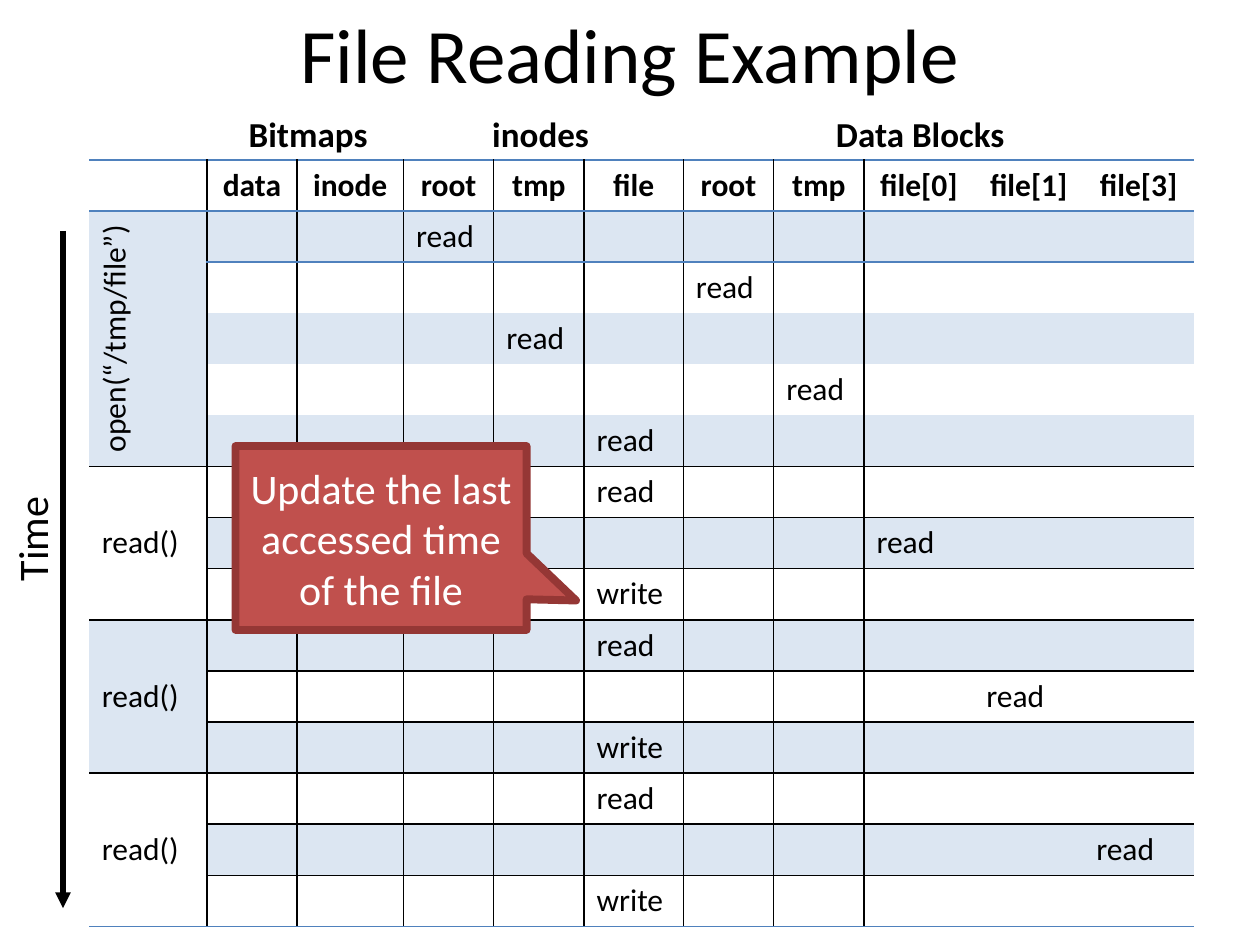
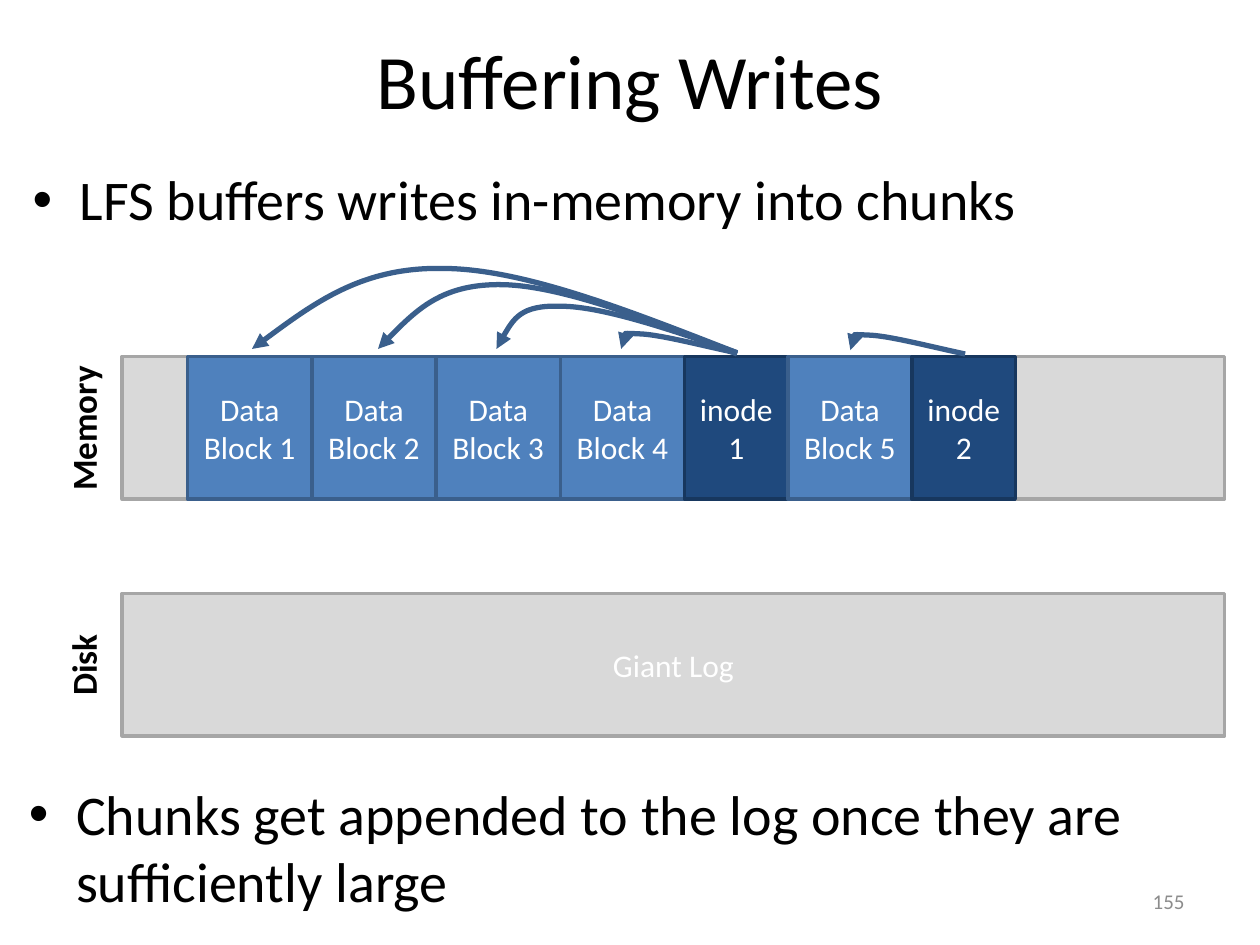
import lxml.etree
import pptx
import pptx.dml.color
import pptx.enum.shapes
import pptx.enum.text
import pptx.oxml
import pptx.oxml.ns
import pptx.util

Pt = pptx.util.Pt
qn = pptx.oxml.ns.qn
ALIGN = pptx.enum.text.PP_ALIGN
ANCHOR = pptx.enum.text.MSO_ANCHOR
SHAPE = pptx.enum.shapes.MSO_SHAPE

BLACK, WHITE = "000000", "FFFFFF"
BLUE, BLUE_EDGE, BAND = "4F81BD", "3A5F8C", "DCE6F2"
NAVY, NAVY_EDGE = "1F497D", "17375E"
GREY, GREY_EDGE = "D9D9D9", "A6A6A6"
RED, RED_EDGE = "C0504D", "953735"
NO_GRID = "{2D5ABB26-0587-4C30-8999-92F81FD0307C}"


def color(hex_text):
    return pptx.dml.color.RGBColor.from_string(hex_text)


class Deck:
    font = "Calibri"

    def __init__(self):
        self.presentation = pptx.Presentation()
        self.presentation.slide_width = Pt(720)
        self.presentation.slide_height = Pt(540)
        self.slide = None

    def add_slide(self, title, height):
        layout = self.presentation.slide_layouts[5]
        self.slide = self.presentation.slides.add_slide(layout)
        heading = self.slide.shapes.title
        heading.left, heading.top = Pt(36), Pt(0)
        heading.width, heading.height = Pt(648), Pt(height)
        self.fill_text(heading.text_frame, title, 44, anchor=ANCHOR.MIDDLE)

    def fill_text(self, frame, text, size, ink=BLACK, bold=False,
                  align=ALIGN.CENTER, anchor=ANCHOR.TOP):
        frame.text = text
        frame.vertical_anchor = anchor
        for paragraph in frame.paragraphs:
            self.style_runs(paragraph, size, ink, bold, align)

    def style_runs(self, paragraph, size, ink, bold, align):
        paragraph.alignment = align
        for run in paragraph.runs:
            run.font.name = self.font
            run.font.size = Pt(size)
            run.font.bold = bold
            run.font.color.rgb = color(ink)

    def label(self, text, left, top, width, height, size, wrap=False,
              rotation=0, **style):
        box = self.slide.shapes.add_textbox(Pt(left), Pt(top), Pt(width), Pt(height))
        box.rotation = rotation
        box.text_frame.word_wrap = wrap
        self.fill_text(box.text_frame, text, size, **style)
        return box

    def bullet(self, text, left, top, width, height):
        box = self.label(text, left, top, width, height, 32, wrap=True, align=ALIGN.LEFT)
        properties = box.text_frame.paragraphs[0]._p.get_or_add_pPr()
        properties.set("marL", str(Pt(27)))
        properties.set("indent", str(-Pt(27)))
        lxml.etree.SubElement(properties, qn("a:buFont"), typeface="Arial")
        lxml.etree.SubElement(properties, qn("a:buChar"), char="•")

    def block(self, text, left, top, width, height, fill, edge, size=18,
              kind=SHAPE.RECTANGLE, edge_width=2):
        shape = self.slide.shapes.add_shape(kind, Pt(left), Pt(top), Pt(width), Pt(height))
        shape.shadow.inherit = False
        shape.fill.solid()
        shape.fill.fore_color.rgb = color(fill)
        shape.line.color.rgb = color(edge)
        shape.line.width = Pt(edge_width)
        if text:
            self.fill_text(shape.text_frame, text, size, WHITE, anchor=ANCHOR.MIDDLE)
        return shape

    def arrow_line(self, shape, ink):
        shape.line.color.rgb = color(ink)
        shape.line.width = Pt(3)
        lxml.etree.SubElement(shape.line._get_or_add_ln(), qn("a:tailEnd"), type="triangle")

    def arrow(self, x1, y1, x2, y2, ink):
        line = self.slide.shapes.add_connector(
            pptx.enum.shapes.MSO_CONNECTOR.STRAIGHT, Pt(x1), Pt(y1), Pt(x2), Pt(y2))
        self.arrow_line(line, ink)
        lxml.etree.SubElement(line._element.spPr, qn("a:effectLst"))

    def curve(self, points, ink):
        start, *controls = [(Pt(x), Pt(y)) for x, y in points]
        builder = self.slide.shapes.build_freeform(*start)
        builder.add_line_segments(controls, close=False)
        shape = builder.convert_to_shape()
        outline = next(shape._element.iter(qn("a:path")))
        segments = outline.findall(qn("a:lnTo"))
        for first in range(0, len(segments), 3):
            bezier = lxml.etree.SubElement(outline, qn("a:cubicBezTo"))
            for segment in segments[first:first + 3]:
                bezier.append(segment[0])
                outline.remove(segment)
        shape.shadow.inherit = False
        shape.fill.background()
        self.arrow_line(shape, ink)

    def table(self, left, top, widths, row_count, row_height):
        table = self.slide.shapes.add_table(
            row_count, len(widths), Pt(left), Pt(top),
            Pt(sum(widths)), Pt(row_height * row_count)).table
        table.first_row = table.horz_banding = False
        table._tbl.tblPr.find(qn("a:tableStyleId")).text = NO_GRID
        for column, width in zip(table.columns, widths):
            column.width = Pt(width)
        for row in table.rows:
            row.height = Pt(row_height)
        return table

    def cell(self, cell, borders, fill=None):
        properties = cell._tc.get_or_add_tcPr()
        for side in "LRTB":
            if borders.get(side):
                line = lxml.etree.SubElement(properties, qn("a:ln" + side), w=str(Pt(1)))
                solid = lxml.etree.SubElement(line, qn("a:solidFill"))
                lxml.etree.SubElement(solid, qn("a:srgbClr"), val=borders[side])
        if fill:
            cell.fill.solid()
            cell.fill.fore_color.rgb = color(fill)
        else:
            cell.fill.background()

    def cell_text(self, cell, text, bold=False, align=ALIGN.LEFT):
        cell.text = text
        self.style_runs(cell.text_frame.paragraphs[0], 18, BLACK, bold, align)


def file_reading(deck):
    deck.add_slide("File Reading Example", 60.5)
    headers = ["", "data", "inode", "root", "tmp", "file", "root", "tmp",
               "file[0]", "file[1]", "file[3]"]
    widths = [67.2, 51.6, 60.8, 51.6, 51.6, 56.8, 51.6, 51.6, 62.8, 62.8, 62.8]
    calls = [("open(“/tmp/file”)", 1, 5), ("read()", 6, 8),
             ("read()", 9, 11), ("read()", 12, 14)]
    accesses = [(3, "read"), (6, "read"), (4, "read"), (7, "read"), (5, "read")]
    for data_column in (8, 9, 10):
        accesses += [(5, "read"), (data_column, "read"), (5, "write")]
    last_row = len(accesses)
    ruled_columns = {0, 1, 2, 3, 5, 6}
    call_ends = {last for _, _, last in calls}
    ruled_rows = call_ends | {first for _, first, _ in calls[1:]}

    def rule_below(row, column):
        if row in (-1, 0, last_row):
            return BLUE
        return BLACK if row in (ruled_rows if column else call_ends) else None

    table = deck.table(51, 91.4, widths, last_row + 1, 29.2)
    call_of_row = {row: call for call in calls for row in range(call[1], call[2] + 1)}
    for row in range(last_row + 1):
        for column in range(len(widths)):
            first, last = row, row
            if column == 0 and row:
                _, first, last = call_of_row[row]
            borders = {"L": BLACK if column - 1 in ruled_columns else None,
                       "R": BLACK if column in ruled_columns else None,
                       "T": rule_below(first - 1, column),
                       "B": rule_below(last, column)}
            deck.cell(table.cell(row, column), borders, BAND if first % 2 else None)
    for column, header in enumerate(headers):
        if header:
            deck.cell_text(table.cell(0, column), header, True, ALIGN.CENTER)
    for row, (column, access) in enumerate(accesses, 1):
        deck.cell_text(table.cell(row, column), access)
    for call, first, last in calls:
        call_cell = table.cell(first, 0)
        call_cell.merge(table.cell(last, 0))
        is_open = call.startswith("open")
        deck.cell_text(call_cell, call, align=ALIGN.CENTER if is_open else ALIGN.LEFT)
        call_cell.vertical_anchor = ANCHOR.MIDDLE
        if is_open:
            call_cell._tc.get_or_add_tcPr().set("vert", "vert270")

    for group, left, width in [("Bitmaps", 134.6, 83), ("inodes", 273.6, 70.6),
                               ("Data Blocks", 470, 111.6)]:
        deck.label(group, left, 60.5, width, 31.5, 20, bold=True)
    callout = deck.block("Update the last accessed time of the file", 134.6, 254.9,
                         166.3, 105.1, RED, RED_EDGE, 24,
                         SHAPE.RECTANGULAR_CALLOUT, 4.5)
    callout.adjustments[0] = 0.67
    callout.adjustments[1] = 0.34
    deck.arrow(36, 132, 36, 519, BLACK)
    deck.label("Time", -13.7, 289.4, 63.4, 36, 24, rotation=270, align=ALIGN.LEFT)


def buffering_writes(deck):
    deck.add_slide("Buffering Writes", 90)
    memory_top, disk_top, height = 203.8, 339.1, 81.4
    for text, top in [("", memory_top), ("Giant Log", disk_top)]:
        deck.block(text, 69.8, top, 630, height, GREY, GREY_EDGE)
    deck.bullet("LFS buffers writes in-memory into chunks", 11.5, 90.7, 683.3, 56.2)
    deck.bullet("Chunks get appended to the log once they are sufficiently large",
                9.4, 442, 701.3, 85)
    deck.label("155", 516, 500.4, 168, 28.8, 12, wrap=True, ink="8C8C8C",
               align=ALIGN.RIGHT, anchor=ANCHOR.MIDDLE)
    for store, top in [("Memory", 229), ("Disk", 364.3)]:
        deck.label(store, -4, top, 103, 31.5, 20, wrap=True, rotation=270, bold=True)

    left = 107.2
    for text in ["Data Block 1", "Data Block 2", "Data Block 3", "Data Block 4",
                 "inode\n1", "Data Block 5", "inode\n2"]:
        if text.startswith("inode"):
            width, fill, edge = 59, NAVY, NAVY_EDGE
        else:
            width, fill, edge = 71, BLUE, BLUE_EDGE
        deck.block(text, left, memory_top, width, height, fill, edge)
        left += width

    to_neighbour = [(420.5, 201.6), (397.4, 196.6), (375.1, 190.8), (364.3, 190.8),
                    (353.5, 190.1), (354.2, 195.1), (355, 199.4)]
    pointers = [
        [(421.2, 201.6), (360, 177.8), (298.8, 153.4), (252.7, 153.4),
         (206.6, 152.6), (175, 176.4), (144, 199.4)],
        [(421.2, 202.3), (371.5, 182.9), (321.1, 163.4), (287.3, 162.7),
         (252.7, 162), (234, 180.7), (216, 199.4)],
        [(421.2, 201.6), (382.3, 187.9), (343.4, 175), (320.4, 175),
         (297.4, 174.2), (290.2, 186.5), (283.7, 199.4)],
        to_neighbour,
        [(x + 131, y + 0.7) for x, y in to_neighbour],
    ]
    for pointer in pointers:
        deck.curve(pointer, BLUE_EDGE)


def main():
    deck = Deck()
    file_reading(deck)
    buffering_writes(deck)
    deck.presentation.save("out.pptx")


if __name__ == "__main__":
    main()
